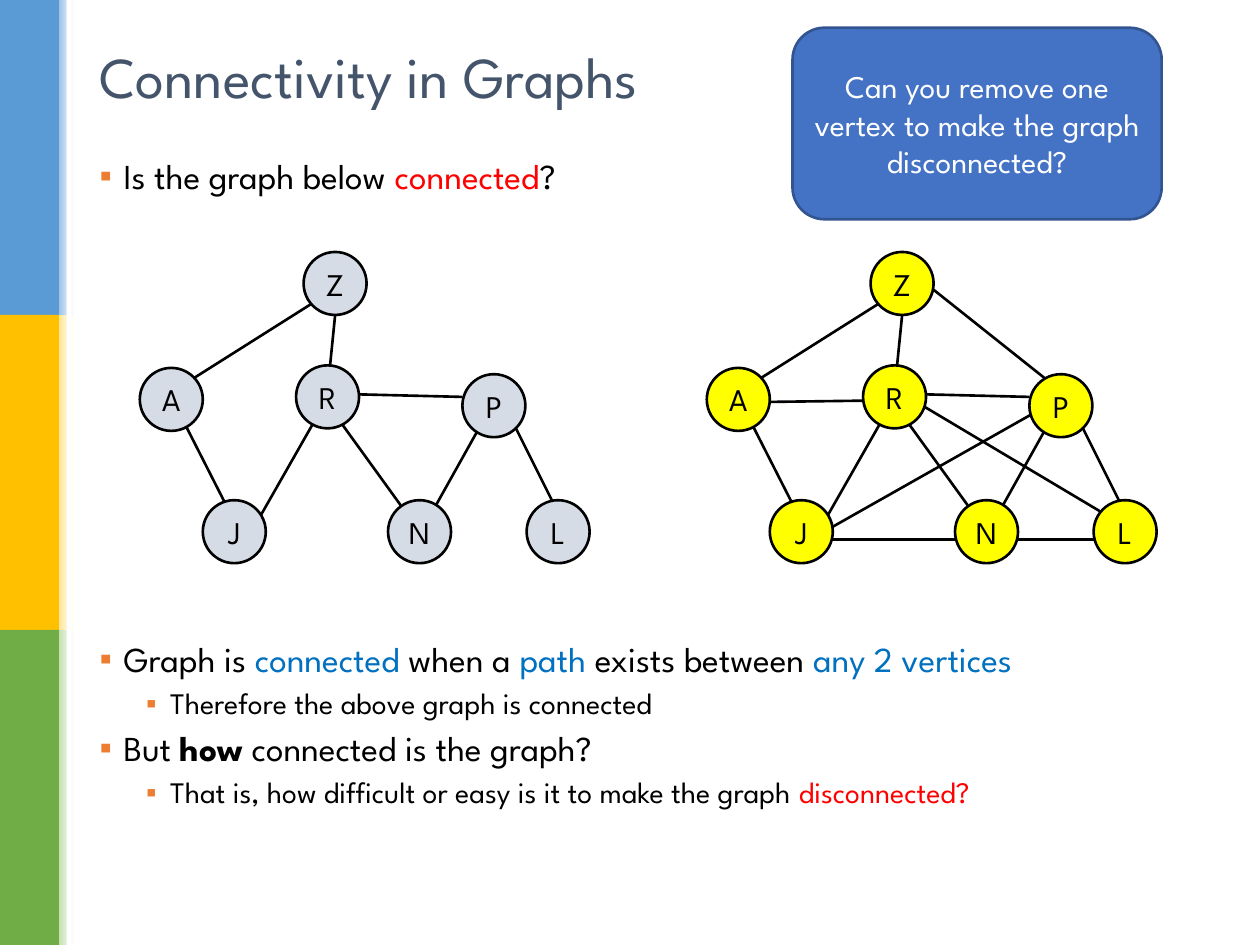
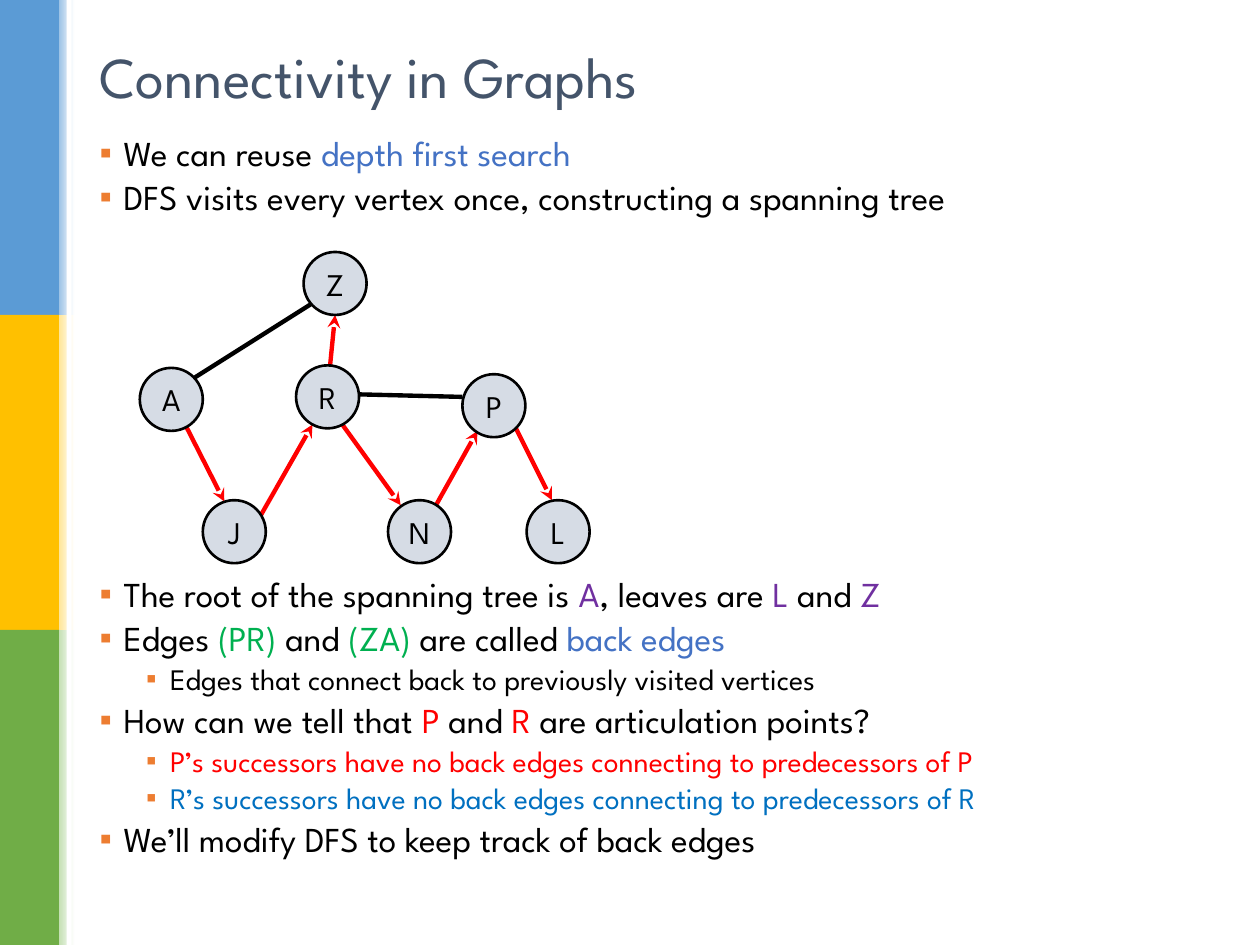
"""Build two slides on connectivity in graphs."""
from dataclasses import dataclass
from typing import NamedTuple

from lxml import etree
from pptx import Presentation
from pptx.dml.color import RGBColor
from pptx.enum import shapes as kinds, text as styles
from pptx.oxml import ns
from pptx.util import Inches, Pt

FONT = "League Spartan"
COLORS = {
    "black": "000000", "white": "FFFFFF", "title": "44546A", "bullet": "ED7D31",
    "red": "FF0000", "blue": "0070C0", "accent": "4472C4", "purple": "7030A0",
    "green": "00B050", "gray": "D6DCE5", "yellow": "FFFF00", "callout edge": "325491",
    "blue band": "5B9BD5", "gold band": "FFC000", "green band": "70AD47",
    "blue fade": "9DC3E6", "gold fade": "FFE699", "green fade": "C5E0B4",
}
TITLE = "Connectivity in Graphs"
LEVEL_SIZES = (20, 17)
LEVEL_MARGINS = (0.19, 0.56)
HANGING = 0.19
BAND_HEIGHT = 2.5
NODE_SIZE = 0.5


class Span(NamedTuple):
    """A piece of a bullet in one colour."""
    words: str
    color: str = "black"
    bold: bool = False


@dataclass
class Bullet:
    """One list entry; skipped is the number of lines left free above it."""
    spans: list[Span]
    level: int = 0
    skipped: int = 0


class Edge(NamedTuple):
    """End points of an edge, in the frame of the left-hand graph."""
    x1: float
    y1: float
    x2: float
    y2: float


# Left and top of each vertex
VERTICES = {
    "A": (1.11, 2.92), "J": (1.61, 3.97), "Z": (2.41, 2.0), "P": (3.67, 2.97),
    "N": (3.08, 3.97), "L": (4.18, 3.97), "R": (2.35, 2.9),
}
# Each tree edge points the way the search walks it
TREE_EDGES = {
    "AJ": Edge(1.48, 3.39, 1.78, 3.98), "JR": Edge(2.07, 4.09, 2.48, 3.37),
    "RZ": Edge(2.62, 2.9, 2.66, 2.5), "RN": Edge(2.71, 3.36, 3.18, 4.01),
    "NP": Edge(3.46, 4.01, 3.79, 3.42), "PL": Edge(4.09, 3.39, 4.38, 3.97),
}
BACK_EDGES = {
    "ZA": Edge(2.49, 2.4, 1.54, 3.0), "PR": Edge(3.67, 3.15, 2.85, 3.13),
}
EXTRA_EDGES = {
    "RL": Edge(2.84, 3.23, 4.25, 4.07), "PJ": Edge(3.72, 3.27, 2.11, 4.18),
    "JN": Edge(2.11, 4.28, 3.08, 4.28), "NL": Edge(3.58, 4.28, 4.18, 4.28),
    "ZP": Edge(2.91, 2.3, 3.79, 3.0), "AR": Edge(1.61, 3.19, 2.35, 3.18),
}
SPARSE_EDGES = TREE_EDGES | BACK_EDGES
DENSE_EDGES = SPARSE_EDGES | EXTRA_EDGES

CONNECTED_LIST = [
    Bullet([Span("Is the graph below "), Span("connected", "red"), Span("?")]),
    Bullet([Span("Graph is "), Span("connected ", "blue"), Span("when a "),
            Span("path", "blue"), Span(" exists between "),
            Span("any 2 vertices", "blue")], skipped=9),
    Bullet([Span("Therefore the above graph is connected")], level=1),
    Bullet([Span("But "), Span("how", bold=True), Span(" connected is the graph?")]),
    Bullet([Span("That is, how difficult or easy is it to make the graph"),
            Span(" disconnected?", "red")], level=1),
]
SEARCH_LIST = [
    Bullet([Span("We can reuse "), Span("depth first search", "accent")]),
    Bullet([Span("DFS visits every vertex once, constructing a spanning tree")]),
    Bullet([Span("The root of the spanning tree is "), Span("A", "purple"),
            Span(", leaves are "), Span("L", "purple"), Span(" and "),
            Span("Z", "purple")], skipped=8),
    Bullet([Span("Edges "), Span("(PR)", "green"), Span(" and "), Span("(ZA)", "green"),
            Span(" are called "), Span("back edges", "accent")]),
    Bullet([Span("Edges that connect back to previously visited vertices")], level=1),
    Bullet([Span("How can we tell that "), Span("P", "red"), Span(" and "),
            Span("R", "red"), Span(" are articulation points?")]),
    Bullet([Span("P’s successors have no back edges connecting to predecessors of P",
                 "red")], level=1),
    Bullet([Span("R’s successors have no back edges connecting to predecessors of R",
                 "blue")], level=1),
    Bullet([Span("We’ll modify DFS to keep track of back edges")]),
]


def rgb(color: str) -> RGBColor:
    """Look up a named colour."""
    return RGBColor.from_string(COLORS[color])


def place(shape, left: float, top: float, width: float, height: float) -> None:
    """Move and size a shape."""
    shape.left, shape.top = Inches(left), Inches(top)
    shape.width, shape.height = Inches(width), Inches(height)


def format_run(run, size: float, color: str, bold: bool = False) -> None:
    """Give a run the deck's font."""
    run.font.name = FONT
    run.font.size = Pt(size)
    run.font.bold = bold
    run.font.color.rgb = rgb(color)


def add_block(slide, preset, left: float, top: float, width: float, height: float,
              fill: str, edge: str | None = None):
    """Add a flat preset shape, outlined if an edge colour is given."""
    block = slide.shapes.add_shape(preset, Inches(left), Inches(top),
                                   Inches(width), Inches(height))
    block.shadow.inherit = False
    block.fill.solid()
    block.fill.fore_color.rgb = rgb(fill)
    if edge:
        block.line.color.rgb = rgb(edge)
        block.line.width = Pt(1.5)
    else:
        block.line.fill.background()
    return block


def add_label(block, words: str, color: str, wrap: bool) -> None:
    """Centre a text inside a shape."""
    frame = block.text_frame
    frame.text = words
    frame.word_wrap = wrap
    frame.vertical_anchor = styles.MSO_ANCHOR.MIDDLE
    frame.paragraphs[0].alignment = styles.PP_ALIGN.CENTER
    format_run(frame.paragraphs[0].runs[0], 18, color)


def add_bands(slide) -> None:
    """Draw the three side bands, their faded edges and the white strip."""
    rectangle = kinds.MSO_SHAPE.RECTANGLE
    for row, hue in enumerate(("blue", "gold", "green")):
        top = row * BAND_HEIGHT
        add_block(slide, rectangle, 0, top, 0.47, BAND_HEIGHT, f"{hue} band")
        fade = add_block(slide, rectangle, 0.47, top, 0.12, BAND_HEIGHT, f"{hue} fade")
        fade.fill.gradient()
        fade.fill.gradient_angle = 0
        for stop, color in zip(fade.fill.gradient_stops, (f"{hue} fade", "white")):
            stop.color.rgb = rgb(color)
    add_block(slide, rectangle, 0.53, 0, 0.04, 3 * BAND_HEIGHT, "white")


def add_title(slide) -> None:
    """Fill the title placeholder."""
    title = slide.shapes.title
    place(title, 0.69, 0.26, 8.62, 0.68)
    frame = title.text_frame
    frame.text = TITLE
    frame.auto_size = styles.MSO_AUTO_SIZE.NONE
    frame.vertical_anchor = styles.MSO_ANCHOR.MIDDLE
    frame.paragraphs[0].alignment = styles.PP_ALIGN.LEFT
    format_run(frame.paragraphs[0].runs[0], 33, "title")


def set_bullet(paragraph, level: int) -> None:
    """Indent a paragraph and give it a square orange bullet."""
    properties = paragraph._p.get_or_add_pPr()
    properties.set("marL", str(Inches(LEVEL_MARGINS[level])))
    properties.set("indent", str(-Inches(HANGING)))
    tint = etree.SubElement(properties, ns.qn("a:buClr"))
    etree.SubElement(tint, ns.qn("a:srgbClr"), val=COLORS["bullet"])
    etree.SubElement(properties, ns.qn("a:buChar"), char="▪")


def add_list(slide, bullets: list[Bullet], top: float, line_spacing: float) -> None:
    """Fill the body placeholder, leaving room for a graph where lines are skipped."""
    body = slide.placeholders[1]
    place(body, 0.69, top, 8.92, 7.38 - top)
    frame = body.text_frame
    frame.auto_size = styles.MSO_AUTO_SIZE.NONE
    skipped_line = LEVEL_SIZES[0] * (1.2 * line_spacing + 0.3)
    for number, bullet in enumerate(bullets):
        paragraph = frame.add_paragraph() if number else frame.paragraphs[0]
        size = LEVEL_SIZES[bullet.level]
        paragraph.level = bullet.level
        paragraph.line_spacing = line_spacing
        paragraph.space_before = Pt(0.3 * size + bullet.skipped * skipped_line)
        paragraph.space_after = Pt(0)
        set_bullet(paragraph, bullet.level)
        for span in bullet.spans:
            run = paragraph.add_run()
            run.text = span.words
            format_run(run, size, span.color, span.bold)


def add_edge(slide, edge: Edge, shift: float, color: str, width: float,
             arrow: bool) -> None:
    """Draw one edge, with an arrowhead at its end if asked."""
    line = slide.shapes.add_connector(
        kinds.MSO_CONNECTOR.STRAIGHT, Inches(edge.x1 + shift), Inches(edge.y1),
        Inches(edge.x2 + shift), Inches(edge.y2))
    line.line.color.rgb = rgb(color)
    line.line.width = Pt(width)
    if arrow:
        etree.SubElement(line.line._get_or_add_ln(), ns.qn("a:tailEnd"), type="stealth")
    etree.SubElement(line._element.spPr, ns.qn("a:effectLst"))


def add_graph(slide, edges: dict[str, Edge], fill: str, shift: float = 0,
              width: float = 1.5, walked: tuple[str, ...] = ()) -> None:
    """Draw a graph; walked edges become red arrows."""
    for name, edge in edges.items():
        arrow = name in walked
        add_edge(slide, edge, shift, "red" if arrow else "black", width, arrow)
    for name, (left, top) in VERTICES.items():
        vertex = add_block(slide, kinds.MSO_SHAPE.OVAL, left + shift, top,
                           NODE_SIZE, NODE_SIZE, fill, "black")
        add_label(vertex, name, "black", wrap=False)


def add_slide(deck, bullets: list[Bullet], top: float, line_spacing: float):
    """Add a slide with bands, title and list."""
    slide = deck.slides.add_slide(deck.slide_layouts[1])
    add_bands(slide)
    add_title(slide)
    add_list(slide, bullets, top, line_spacing)
    return slide


def main() -> None:
    """Build and save the deck."""
    deck = Presentation()
    deck.slide_width, deck.slide_height = Inches(10), Inches(7.5)

    connected = add_slide(deck, CONNECTED_LIST, 1.21, 0.9)
    add_graph(connected, SPARSE_EDGES, "gray")
    add_graph(connected, DENSE_EDGES, "yellow", shift=4.5)
    callout = add_block(connected, kinds.MSO_SHAPE.ROUNDED_RECTANGLE,
                        6.29, 0.22, 2.93, 1.52, "accent", "callout edge")
    add_label(callout, "Can you remove one vertex to make the graph disconnected?",
              "white", wrap=True)

    search = add_slide(deck, SEARCH_LIST, 1.06, 0.8)
    add_graph(search, SPARSE_EDGES, "gray", width=2.5, walked=tuple(TREE_EDGES))

    deck.save("out.pptx")


main()
